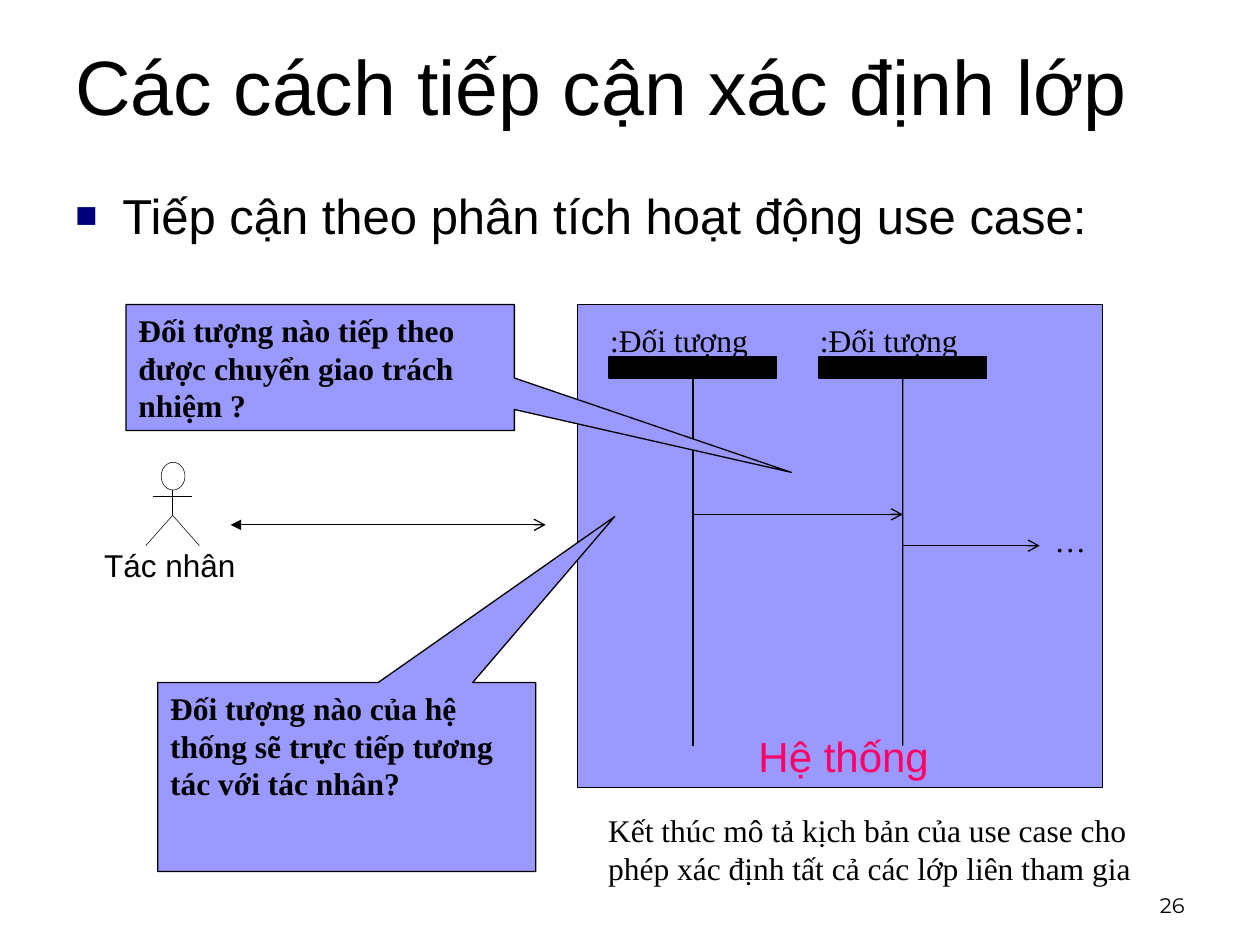
import dataclasses

import lxml.etree
import pptx
import pptx.dml.color
import pptx.enum.shapes
import pptx.enum.text
import pptx.oxml.ns
import pptx.util

Cm = pptx.util.Cm
Pt = pptx.util.Pt
qn = pptx.oxml.ns.qn
RGBColor = pptx.dml.color.RGBColor
Shape = pptx.enum.shapes.MSO_SHAPE
Align = pptx.enum.text.PP_ALIGN
Anchor = pptx.enum.text.MSO_ANCHOR


@dataclasses.dataclass(frozen=True)
class Theme:
    black: RGBColor = RGBColor.from_string("000000")
    panel: RGBColor = RGBColor.from_string("9999FF")
    accent: RGBColor = RGBColor.from_string("FF0066")
    bullet: str = "00007D"
    sans: str = "Arial"
    serif: str = "Times New Roman"
    number_font: str = "Montserrat"
    title: Pt = Pt(44)
    body: Pt = Pt(28)
    system: Pt = Pt(24)
    label: Pt = Pt(18)
    number: Pt = Pt(12)
    line: Pt = Pt(0.75)
    thin: Pt = Pt(0.31)


theme = Theme()


def write_text(shape, text, size, font=theme.serif, color=theme.black, bold=False,
               align=Align.LEFT, anchor=Anchor.TOP, wrap=True):
    frame = shape.text_frame
    frame.text = text
    frame.word_wrap = wrap
    frame.vertical_anchor = anchor
    if not wrap:
        frame.auto_size = pptx.enum.text.MSO_AUTO_SIZE.SHAPE_TO_FIT_TEXT
    paragraph = frame.paragraphs[0]
    paragraph.alignment = align
    run_font = paragraph.runs[0].font
    run_font.name, run_font.size, run_font.bold = font, size, bold
    run_font.color.rgb = color
    return paragraph


def add_line(shapes, x1, y1, x2, y2, width=theme.line, head=None, tail=None):
    connector = shapes.add_connector(pptx.enum.shapes.MSO_CONNECTOR.STRAIGHT,
                                     Cm(x1), Cm(y1), Cm(x2), Cm(y2))
    connector.line.color.rgb = theme.black
    connector.line.width = width
    outline = connector.line._get_or_add_ln()
    for tag, kind in (("a:headEnd", head), ("a:tailEnd", tail)):
        if kind:
            lxml.etree.SubElement(outline, qn(tag), type=kind)
    lxml.etree.SubElement(connector._element.spPr, qn("a:effectLst"))
    return connector


presentation = pptx.Presentation()
presentation.slide_width, presentation.slide_height = Cm(25.4), Cm(19.05)
slide = presentation.slides.add_slide(presentation.slide_layouts[6])
shapes = slide.shapes

# Title, bullet and slide number
title = shapes.add_textbox(Cm(1.27), Cm(-0.2), Cm(22.86), Cm(3.81))
write_text(title, "Các cách tiếp cận xác định lớp", theme.title, theme.sans,
           anchor=Anchor.MIDDLE)

body = shapes.add_textbox(Cm(1.27), Cm(3.61), Cm(22.43), Cm(13.97))
paragraph = write_text(body, "Tiếp cận theo phân tích hoạt động use case:",
                       theme.body, theme.sans)
properties = paragraph._p.get_or_add_pPr()
properties.set("marL", str(Cm(0.95)))
properties.set("indent", str(-Cm(0.95)))
bullet_color = lxml.etree.SubElement(properties, qn("a:buClr"))
lxml.etree.SubElement(bullet_color, qn("a:srgbClr"), val=theme.bullet)
lxml.etree.SubElement(properties, qn("a:buSzPct"), val="75000")
lxml.etree.SubElement(properties, qn("a:buFont"), typeface=theme.sans)
lxml.etree.SubElement(properties, qn("a:buChar"), char="■")

number = shapes.add_textbox(Cm(18.21), Cm(17.35), Cm(5.92), Cm(1.27))
write_text(number, "26", theme.number, theme.number_font,
           align=Align.RIGHT, anchor=Anchor.BOTTOM)

# Actor: head, trunk, arms, legs
actor = shapes.add_group_shape().shapes
head = actor.add_shape(Shape.OVAL, Cm(3.25), Cm(9.32), Cm(0.48), Cm(0.56))
add_line(actor, 3.48, 9.87, 3.48, 10.39, theme.thin)
add_line(actor, 3.09, 10.01, 3.87, 10.01, theme.thin)
builder = actor.build_freeform(Cm(2.94), Cm(11))
builder.add_line_segments([(Cm(3.48), Cm(10.39)), (Cm(4.02), Cm(11))], close=False)
legs = builder.convert_to_shape()
for part in (head, legs):
    part.shadow.inherit = False
    part.fill.background()
    part.line.color.rgb = theme.black
    part.line.width = theme.thin

actor_label = shapes.add_textbox(Cm(1.9), Cm(11), Cm(3.05), Cm(1.04))
write_text(actor_label, "Tác nhân", theme.label, theme.sans, align=Align.CENTER)
frame = actor_label.text_frame
frame.margin_left = frame.margin_right = frame.margin_top = frame.margin_bottom = 0
add_line(shapes, 4.65, 10.58, 11, 10.58, head="triangle", tail="arrow")

# System panel
system = shapes.add_shape(Shape.RECTANGLE, Cm(11.64), Cm(6.14), Cm(10.58), Cm(9.74))
system_label = shapes.add_textbox(Cm(15.04), Cm(14.6), Cm(3.94), Cm(1.27))
write_text(system_label, "Hệ thống", theme.system, theme.sans, theme.accent, wrap=False)

# Question about the first object, behind the lifelines
first_question = shapes.add_shape(Shape.RECTANGULAR_CALLOUT,
                                  Cm(3.18), Cm(13.76), Cm(7.62), Cm(3.81))
first_question.adjustments[0], first_question.adjustments[1] = 0.709, -1.378
write_text(first_question, "Đối tượng nào của hệ thống sẽ trực tiếp tương tác với tác nhân?",
           theme.label, bold=True)

# Objects with their lifelines
lifelines = (13.97, 18.2)
object_bars = []
for x in lifelines:
    bar = shapes.add_shape(Shape.RECTANGLE, Cm(x - 1.69), Cm(7.2), Cm(3.38), Cm(0.42))
    object_bars.append(bar)
    lifeline = add_line(shapes, x, 7.62, x, 15.03)
    lifeline.begin_connect(bar, 2)
    object_label = shapes.add_textbox(Cm(x - 1.92), Cm(6.35), Cm(3.84), Cm(1.02))
    write_text(object_label, ":Đối tượng", theme.label, wrap=False)

# Question about the next object, in front of the lifelines
next_question = shapes.add_shape(Shape.RECTANGULAR_CALLOUT,
                                 Cm(2.54), Cm(6.14), Cm(7.83), Cm(2.54))
next_question.adjustments[0], next_question.adjustments[1] = 1.213, 0.832
write_text(next_question, "Đối tượng nào tiếp theo được chuyển giao trách nhiệm ?",
           theme.label, bold=True)

# Fill and outline of the boxes
for box in (system, first_question, next_question, *object_bars):
    box.shadow.inherit = False
    box.fill.solid()
    box.fill.fore_color.rgb = theme.black if box in object_bars else theme.panel
    box.line.color.rgb = theme.black
    box.line.width = theme.line

# Messages
add_line(shapes, lifelines[0], 10.37, lifelines[1], 10.37, tail="arrow")
add_line(shapes, lifelines[1], 11, 20.96, 11, tail="arrow")
more = shapes.add_textbox(Cm(21.01), Cm(10.37), Cm(1.04), Cm(1.02))
write_text(more, "…", theme.label, wrap=False)

# Closing remark
remark = shapes.add_textbox(Cm(12.01), Cm(16.23), Cm(12.32), Cm(2.54))
write_text(remark, "Kết thúc mô tả kịch bản của use case cho phép xác định "
           "tất cả các lớp liên tham gia", theme.label)

presentation.save("out.pptx")
